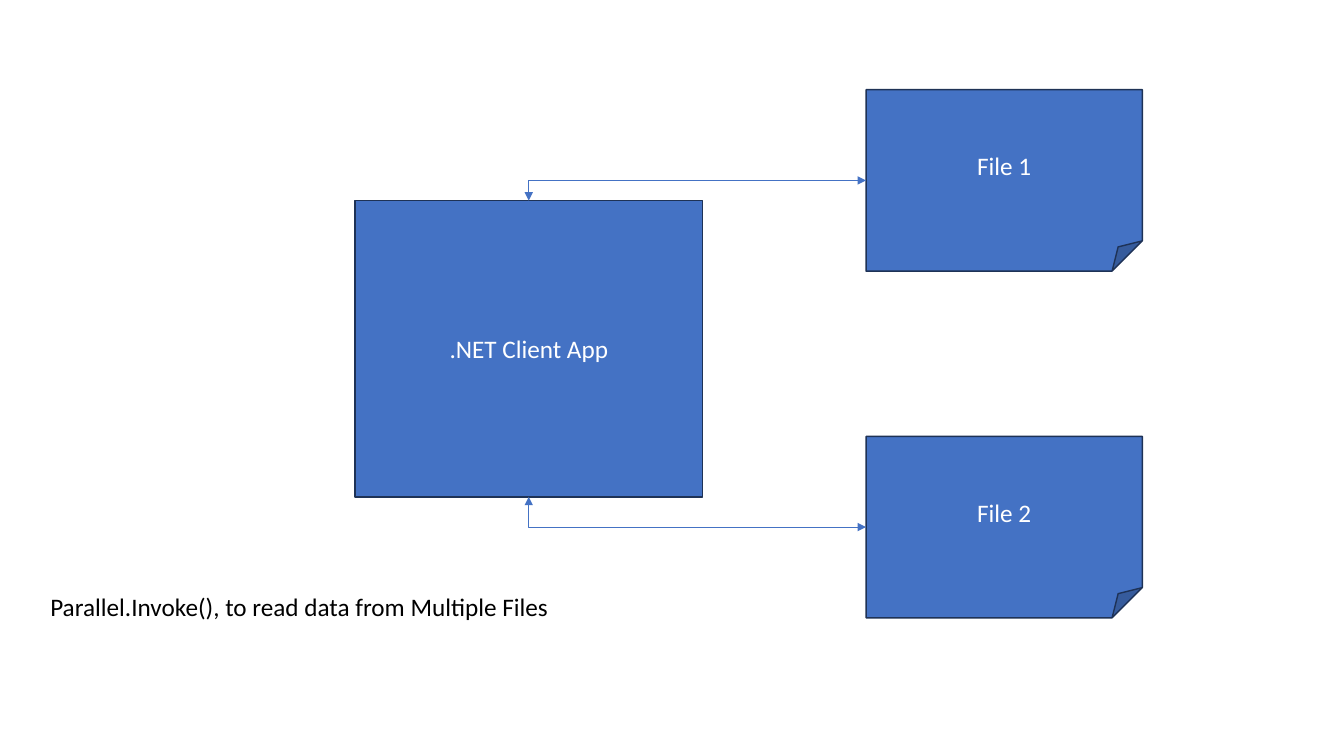
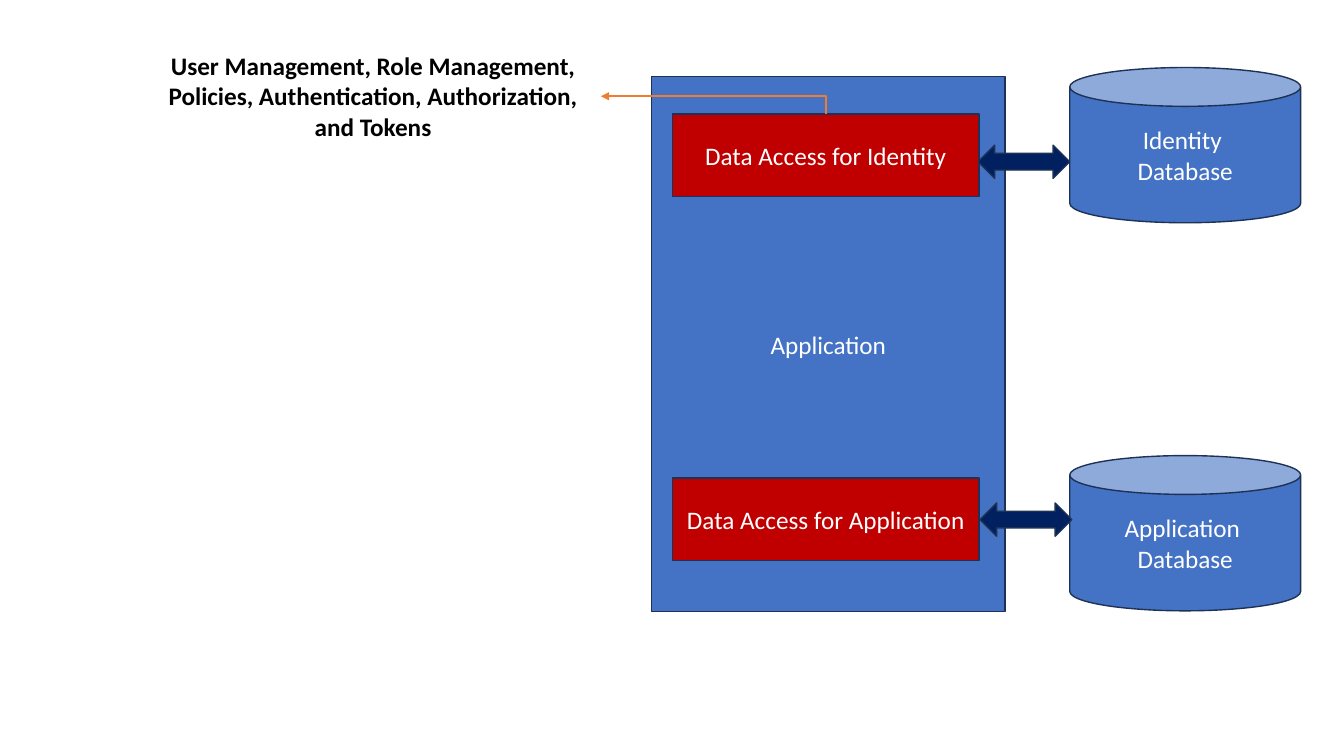
"""Build two architecture slides: parallel file reading and identity data access."""
from lxml import etree
from pptx import Presentation
from pptx.dml.color import RGBColor
from pptx.enum.shapes import MSO_CONNECTOR, MSO_SHAPE as SHAPE
from pptx.enum.text import MSO_ANCHOR, PP_ALIGN
from pptx.oxml.ns import qn
from pptx.util import Emu, Pt

PX = 9144
FONT = "Calibri"
TEXT_SIZE = 18
WHITE = RGBColor(0xFF, 0xFF, 0xFF)
BLACK = RGBColor(0x00, 0x00, 0x00)
BLUE = RGBColor(0x44, 0x72, 0xC4)
OUTLINE = RGBColor(0x1E, 0x32, 0x56)
RED = RGBColor(0xC0, 0x00, 0x00)
NAVY = RGBColor(0x00, 0x20, 0x60)
ORANGE = RGBColor(0xED, 0x7D, 0x31)
TOP, LEFT, RIGHT, BOTTOM = 0, 1, 3, 2

FILES = [("File 1", 89), ("File 2", 433)]
APP_SIDES = [TOP, BOTTOM]
FILE_NOTE = "Parallel.Invoke(), to read data from Multiple Files"

DATABASES = [("Identity \nDatabase", 67), ("Application \nDatabase", 452)]
DATA_ACCESS = [("Data Access for Identity", 113), ("Data Access for Application", 474)]
DATA_ARROWS = [(970, 144), (972, 499)]
IDENTITY_NOTE = ("User Management, Role Management, Policies, "
                 "Authentication, Authorization, and Tokens")


def to_emu(*lengths):
    return [Emu(length * PX) for length in lengths]


def write(shape, text, color, align, bold=False):
    text_frame = shape.text_frame
    text_frame.word_wrap = True
    text_frame.text = text
    for paragraph in text_frame.paragraphs:
        paragraph.alignment = align
        for run in paragraph.runs:
            run.font.name = FONT
            run.font.size = Pt(TEXT_SIZE)
            run.font.bold = bold
            run.font.color.rgb = color


def add_block(slide, kind, box, text="", fill=BLUE):
    shape = slide.shapes.add_shape(kind, *to_emu(*box))
    shape.shadow.inherit = False
    shape.fill.solid()
    shape.fill.fore_color.rgb = fill
    shape.line.color.rgb = OUTLINE
    shape.line.width = Pt(1)
    if text:
        shape.text_frame.vertical_anchor = MSO_ANCHOR.MIDDLE
        write(shape, text, WHITE, PP_ALIGN.CENTER)
    return shape


def add_note(slide, box, text, align=PP_ALIGN.LEFT, bold=False):
    note = slide.shapes.add_textbox(*to_emu(*box))
    write(note, text, BLACK, align, bold)
    return note


def add_bent_arrow(slide, start, start_side, end, end_side, color, width, ends):
    """Run level from the start shape, then turn once to reach the end shape."""
    connector = slide.shapes.add_connector(MSO_CONNECTOR.ELBOW, 0, 0, 0, 0)
    connector.begin_connect(start, start_side)
    connector.end_connect(end, end_side)
    connector.line.color.rgb = color
    connector.line.width = Pt(width)
    properties = connector._element.spPr
    properties.find(qn("a:prstGeom")).set("prst", "bentConnector2")
    line = properties.find(qn("a:ln"))
    for end_name in ends:
        etree.SubElement(line, qn(f"a:{end_name}"), type="triangle")
    etree.SubElement(properties, qn("a:effectLst"))


def build_files_slide(slide):
    files = [add_block(slide, SHAPE.FOLDED_CORNER, (859, top, 274, 180), text)
             for text, top in FILES]
    client = add_block(slide, SHAPE.RECTANGLE, (352, 199, 345, 294), ".NET Client App")
    for file, side in zip(files, APP_SIDES):
        add_bent_arrow(slide, file, LEFT, client, side, BLUE, 0.5, ["headEnd", "tailEnd"])
    add_note(slide, (40, 582, 602, 40), FILE_NOTE)


def build_identity_slide(slide):
    add_block(slide, SHAPE.RECTANGLE, (646, 76, 351, 531), "Application")
    for text, top in DATABASES:
        add_block(slide, SHAPE.CAN, (1061, top, 229, 154), text)
    identity_access, _ = [
        add_block(slide, SHAPE.RECTANGLE, (667, top, 304, 82), text, RED)
        for text, top in DATA_ACCESS]
    for left, top in DATA_ARROWS:
        add_block(slide, SHAPE.LEFT_RIGHT_ARROW, (left, top, 91, 33), fill=NAVY)
    note = add_note(slide, (144, 45, 452, 101), IDENTITY_NOTE, PP_ALIGN.CENTER, True)
    add_bent_arrow(slide, note, RIGHT, identity_access, TOP, ORANGE, 1.5, ["headEnd"])


def main():
    presentation = Presentation()
    presentation.slide_width, presentation.slide_height = to_emu(1333, 750)
    blank = presentation.slide_layouts[6]
    for build in (build_files_slide, build_identity_slide):
        build(presentation.slides.add_slide(blank))
    presentation.save("out.pptx")


if __name__ == "__main__":
    main()
